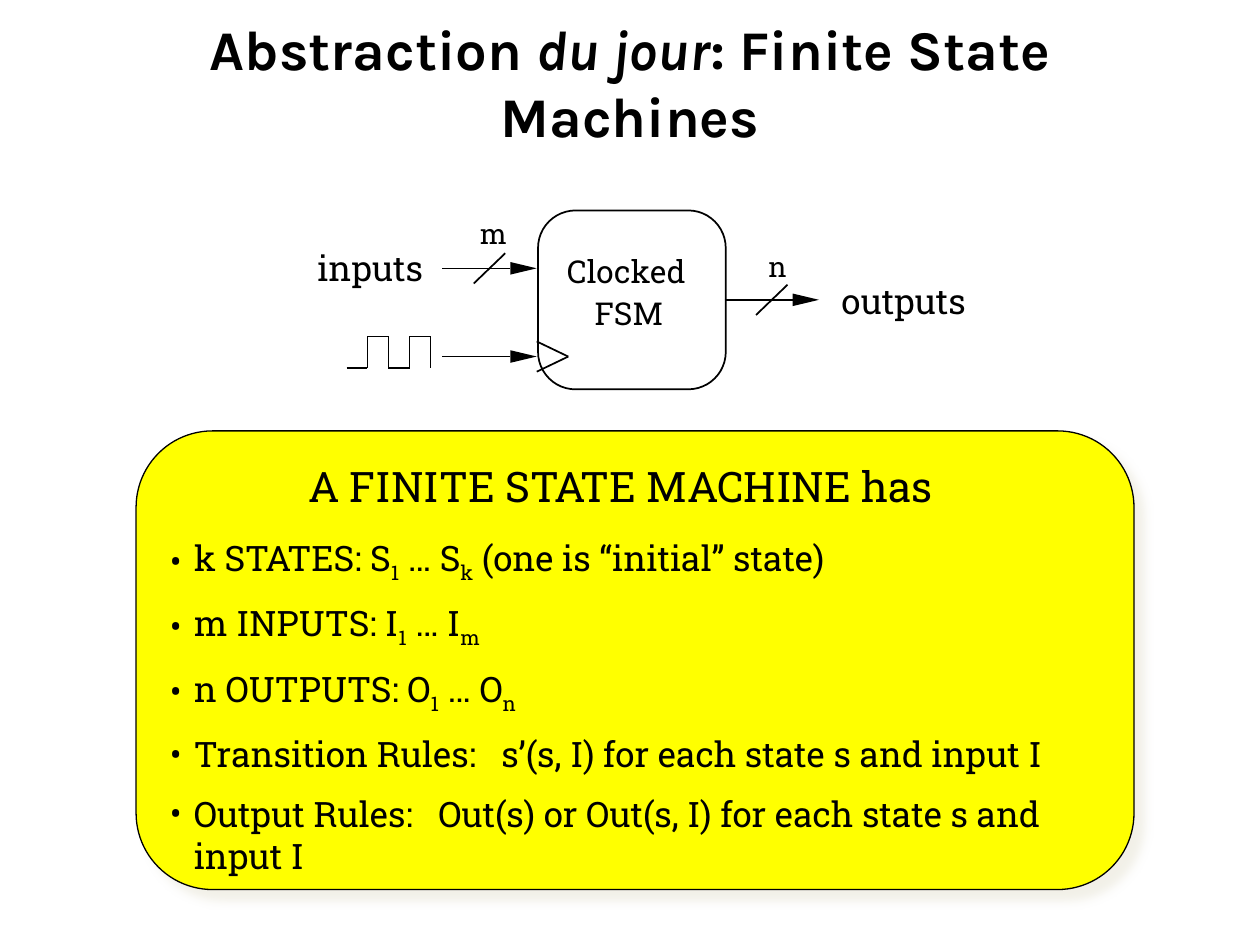
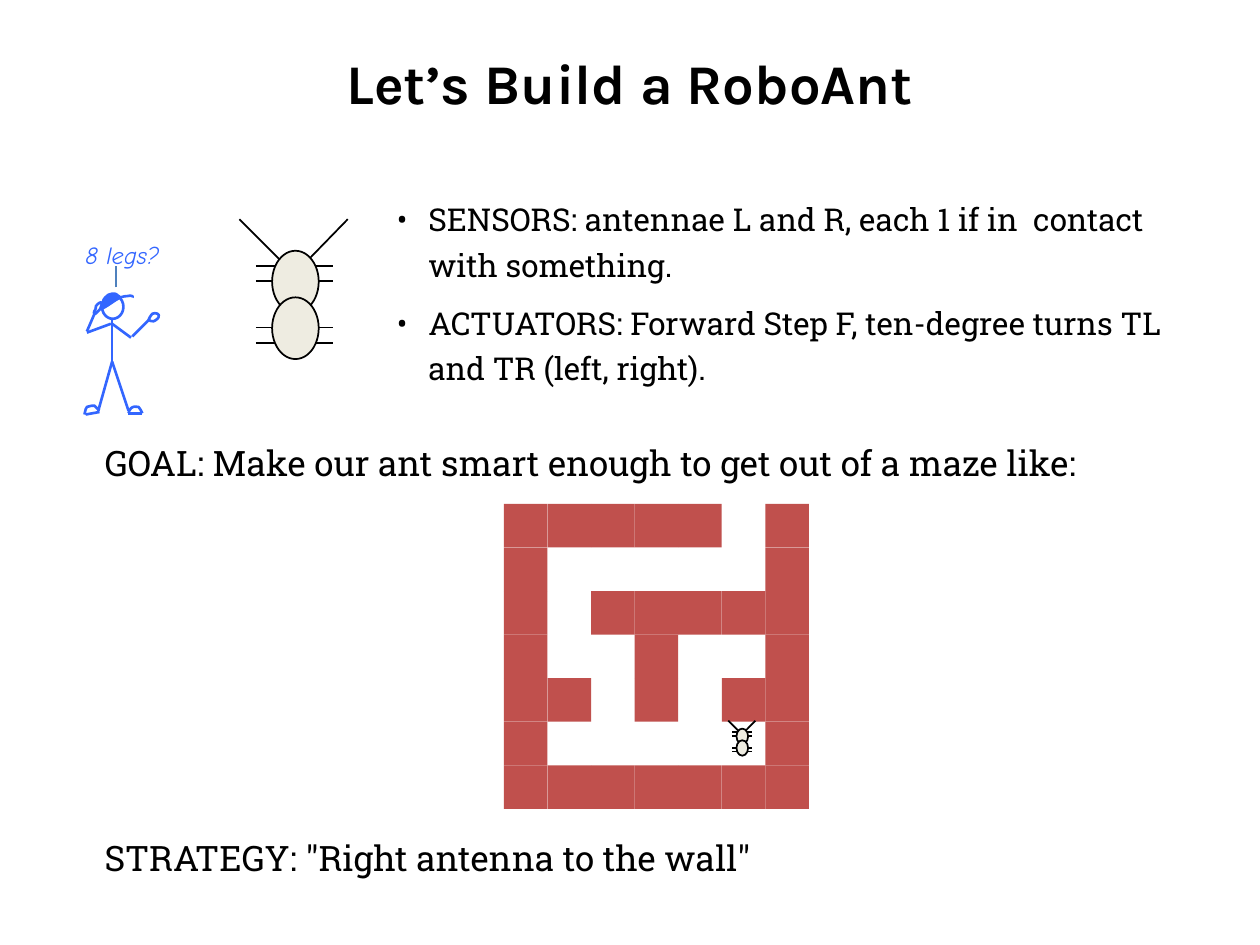
from dataclasses import dataclass
from itertools import pairwise
from typing import Any, Optional

from lxml.etree import SubElement
from pptx import Presentation
from pptx.dml.color import RGBColor
from pptx.enum.shapes import MSO_CONNECTOR, MSO_SHAPE
from pptx.enum.text import MSO_ANCHOR, MSO_AUTO_SIZE, PP_ALIGN
from pptx.oxml.ns import qn
from pptx.util import Inches, Pt

Point = tuple[float, float]

BLACK = "000000"
WHITE = "FFFFFF"
YELLOW = "FFFF00"
CREAM = "EEECE1"
BRICK = "C0504D"
BLUE = "3366FF"
STEEL = "4F81BD"

SLAB = "Roboto Slab"
STYLES: dict[str, dict[str, Any]] = {
    "title": {"name": "Karla", "size": Pt(32), "bold": True},
    "heading": {"name": SLAB, "size": Pt(24)},
    "body": {"name": SLAB, "size": Pt(20)},
    "detail": {"name": SLAB, "size": Pt(18)},
    "wire": {"name": SLAB, "size": Pt(16)},
    "speech": {"name": "Comic Neue", "size": Pt(14), "italic": True},
}
WIDE_INSET = (0.1, 0.05)
TIGHT_INSET = (0.07, 0.03)
NO_INSET = (0, 0)


@dataclass(frozen=True)
class Label:
    text: str
    left: float
    top: float
    width: float
    height: float
    style: str = "body"
    inset: Point = WIDE_INSET
    wrap: bool = False
    color: str = BLACK
    spacing: Optional[float] = None
    align: Optional[PP_ALIGN] = None


@dataclass(frozen=True)
class Bullets:
    indent: float
    space_before: float


@dataclass(frozen=True)
class Bus:
    start: float
    height: float
    slash: float


@dataclass(frozen=True)
class Curve:
    points: tuple[Point, ...]
    closed: bool = False
    fill: Optional[str] = None


FSM_LABELS = [
    Label("A FINITE STATE MACHINE has", 2.1, 3.67, 5.65, 0.98, "heading", TIGHT_INSET, True,
          spacing=0.91, align=PP_ALIGN.CENTER),
    Label("Clocked", 4.5, 2, 0.97, 0.3, "detail", NO_INSET),
    Label("FSM", 4.72, 2.33, 0.56, 0.3, "detail", NO_INSET),
    Label("m", 3.71, 1.67, 0.43, 0.37, "wire"),
    Label("inputs", 2.42, 1.91, 1.09, 0.44),
    Label("n", 6, 1.93, 0.35, 0.37, "wire"),
    Label("outputs", 6.58, 2.17, 1.27, 0.44),
]
FSM_RULES = Label(
    "k STATES: S_1_ … S_k_ (one is “initial” state)\n"
    "m INPUTS: I_1_ … I_m_\n"
    "n OUTPUTS: O_1_ … O_n_\n"
    "Transition Rules:\ts’(s, I) for each state s and input I\n"
    "Output Rules:\tOut(s) or Out(s, I) for each state s and input I",
    1.25, 4.21, 7.58, 2.79, wrap=True)
BUSES = [Bus(3.51, 2.13, 3.76), Bus(5.75, 2.38, 6)]

ANT_PARTS = Label(
    "SENSORS: antennae L and R, each 1 if in\tcontact with something.\n"
    "ACTUATORS: Forward Step F, ten-degree turns TL and TR (left, right).",
    3.08, 1.5, 6.5, 1.62, "detail", TIGHT_INSET, True, spacing=1.2)
TABS = {"Transition Rules": 2.63, "Output Rules": 2.13, "SENSORS": 5.05}
ANT_LABELS = [
    Label("8 legs?", 0.58, 1.86, 0.91, 0.34, "speech", color=BLUE),
    Label("GOAL: Make our ant smart enough to get out of a maze like:",
          0.76, 3.51, 8.74, 0.36, "body", TIGHT_INSET, True, spacing=0.9),
    Label('STRATEGY: "Right antenna to the wall"',
          0.76, 6.63, 6.07, 0.38, "body", TIGHT_INSET, True, spacing=0.97),
]
MAZE = [
    "#####.#",
    "#.....#",
    "#.#####",
    "#..#..#",
    "##.#.##",
    "#.....#",
    "#######",
]
LIMBS = [
    ((0.89, 2.53), (0.89, 2.87), (1.02, 3.26)),
    ((0.89, 2.87), (0.78, 3.26)),
    ((1.02, 3.28), (1.13, 3.28)),
    ((0.79, 3.27), (0.68, 3.29)),
    ((0.89, 2.57), (1.04, 2.68)),
    ((1.05, 2.67), (1.18, 2.54)),
    ((0.88, 2.57), (0.69, 2.64)),
    ((0.69, 2.63), (0.75, 2.49)),
]
RIGHT_FOOT = Curve(((1.13, 3.28), (1.12, 3.26), (1.11, 3.24), (1.1, 3.23),
                    (1.08, 3.22), (1.05, 3.23), (1.04, 3.24),
                    (1.03, 3.25), (1.02, 3.27), (1.02, 3.28)))
LEFT_FOOT = Curve(((0.67, 3.29), (0.68, 3.25), (0.68, 3.24), (0.69, 3.23),
                   (0.71, 3.22), (0.74, 3.22), (0.75, 3.22),
                   (0.77, 3.23), (0.78, 3.26), (0.79, 3.26)))
RIGHT_HAND = Curve(((1.18, 2.54), (1.18, 2.53), (1.2, 2.5), (1.21, 2.49),
                    (1.22, 2.48), (1.24, 2.49), (1.25, 2.49),
                    (1.26, 2.49), (1.26, 2.49), (1.26, 2.5),
                    (1.26, 2.51), (1.26, 2.53), (1.25, 2.53),
                    (1.25, 2.54), (1.23, 2.54), (1.22, 2.55),
                    (1.21, 2.55), (1.19, 2.55), (1.18, 2.54)), True)
LEFT_HAND = Curve(((0.75, 2.49), (0.75, 2.5), (0.77, 2.48), (0.78, 2.47),
                   (0.79, 2.46), (0.8, 2.45), (0.8, 2.44),
                   (0.81, 2.43), (0.81, 2.42), (0.81, 2.41),
                   (0.81, 2.41), (0.81, 2.4), (0.8, 2.4),
                   (0.79, 2.4), (0.78, 2.41), (0.77, 2.42),
                   (0.76, 2.42), (0.76, 2.44), (0.76, 2.45),
                   (0.75, 2.46), (0.74, 2.49), (0.75, 2.49)), True)
CAP_BRIM = Curve(((0.81, 2.45), (0.85, 2.43), (0.89, 2.4), (0.92, 2.38),
                  (0.95, 2.36), (0.98, 2.35), (1.01, 2.35),
                  (1.03, 2.34), (1.04, 2.35), (1.05, 2.35),
                  (1.06, 2.35), (1.05, 2.36), (1.05, 2.36)))
CAP = Curve(((0.81, 2.44), (0.8, 2.44), (0.81, 2.4), (0.82, 2.39),
             (0.82, 2.37), (0.85, 2.35), (0.86, 2.34),
             (0.88, 2.33), (0.9, 2.33), (0.91, 2.33),
             (0.92, 2.33), (0.93, 2.34), (0.94, 2.35),
             (0.94, 2.35), (0.96, 2.35), (0.95, 2.36),
             (0.94, 2.37), (0.9, 2.39), (0.88, 2.4),
             (0.86, 2.42), (0.82, 2.44), (0.81, 2.44)), True, BLUE)


def paint(shape, fill: Optional[str], line: Optional[str] = None, weight: float = 1) -> None:
    shape.shadow.inherit = False
    if fill:
        shape.fill.solid()
        shape.fill.fore_color.rgb = RGBColor.from_string(fill)
    else:
        shape.fill.background()
    if line:
        shape.line.color.rgb = RGBColor.from_string(line)
        shape.line.width = Pt(weight)
    else:
        shape.line.fill.background()


def add_block(page, kind, left: float, top: float, width: float, height: float,
              fill: Optional[str], line: Optional[str] = None, weight: float = 1):
    shape = page.shapes.add_shape(kind, Inches(left), Inches(top), Inches(width), Inches(height))
    paint(shape, fill, line, weight)
    return shape


def add_lines(page, points, color: str = BLACK, weight: float = 1) -> None:
    for start, end in pairwise(points):
        line = page.shapes.add_connector(MSO_CONNECTOR.STRAIGHT, *map(Inches, start + end))
        line.line.color.rgb = RGBColor.from_string(color)
        line.line.width = Pt(weight)
        SubElement(line._element.spPr, qn("a:effectLst"))


def add_outline(page, points, closed: bool, fill: Optional[str],
                line: Optional[str] = None, weight: float = 1):
    places = [(Inches(x), Inches(y)) for x, y in points]
    builder = page.shapes.build_freeform(*places[0])
    builder.add_line_segments(places[1:], close=closed)
    shape = builder.convert_to_shape()
    paint(shape, fill, line, weight)
    return shape


def add_curve(page, curve: Curve) -> None:
    shape = add_outline(page, curve.points, curve.closed, curve.fill, BLUE, 1.5)
    segments = list(shape._element.iter(qn("a:lnTo")))
    for first in range(0, len(segments), 3):
        bend, *others = segments[first:first + 3]
        bend.tag = qn("a:cubicBezTo")
        for other in others:
            bend.append(other[0])
            other.getparent().remove(other)


def write(para, text: str, style: str, color: str = BLACK) -> None:
    for index, part in enumerate(text.split("_")):
        if not part:
            continue
        span = para.add_run()
        span.text = part
        for name, value in STYLES[style].items():
            setattr(span.font, name, value)
        span.font.color.rgb = RGBColor.from_string(color)
        if index % 2 and style == "title":
            span.font.italic = True
        elif index % 2:
            span.font._element.set("baseline", "-25000")


def add_bullet(para, indent: float, tab: Optional[float]) -> None:
    properties = para._p.get_or_add_pPr()
    properties.set("marL", str(Inches(indent)))
    properties.set("indent", str(-Inches(indent)))
    SubElement(properties, qn("a:buFont"), typeface=SLAB)
    SubElement(properties, qn("a:buChar"), char="•")
    if tab:
        tabs = SubElement(properties, qn("a:tabLst"))
        SubElement(tabs, qn("a:tab"), pos=str(Inches(tab)), algn="l")


def add_label(page, label: Label, bullets: Optional[Bullets] = None) -> None:
    box = page.shapes.add_textbox(Inches(label.left), Inches(label.top),
                                  Inches(label.width), Inches(label.height))
    frame = box.text_frame
    side, end = map(Inches, label.inset)
    settings = {"word_wrap": label.wrap, "margin_left": side, "margin_right": side,
                "margin_top": end, "margin_bottom": end}
    for name, value in settings.items():
        setattr(frame, name, value)
    for index, text in enumerate(label.text.split("\n")):
        para = frame.add_paragraph() if index else frame.paragraphs[0]
        if bullets:
            add_bullet(para, bullets.indent, TABS.get(text.split(":")[0]))
            if index:
                para.space_before = Pt(bullets.space_before)
        para.alignment = label.align
        para.line_spacing = label.spacing
        write(para, text, label.style, label.color)


def add_page(deck, title: str):
    page = deck.slides.add_slide(deck.slide_layouts[5])
    box = page.shapes.title
    box.left, box.top, box.width, box.height = map(Inches, (0.5, 0.3, 9, 0.7))
    frame = box.text_frame
    frame.auto_size = MSO_AUTO_SIZE.NONE
    frame.vertical_anchor = MSO_ANCHOR.MIDDLE
    frame.paragraphs[0].alignment = PP_ALIGN.CENTER
    write(frame.paragraphs[0], title, "title")
    return page


def add_arrow(page, start: float, height: float) -> None:
    neck, tip = start + 0.54, start + 0.75
    add_outline(page, [(tip, height), (neck, height + 0.05), (neck, height - 0.05)], True, BLACK)
    add_lines(page, [(start, height), (neck, height)])


def add_clock_wave(page, left: float, low: float, high: float) -> None:
    points = [(left, low)]
    for edge in range(1, 5):
        x = left + edge / 6
        before, after = (low, high) if edge % 2 else (high, low)
        points += [(x, before), (x, after)]
    add_lines(page, points, weight=0.75)


def add_ant(page, left: float, top: float, scale: float) -> None:
    def place(x: float, y: float) -> Point:
        return left + x * scale, top + y * scale

    for outer, inner in ((0.86, 0.5), (0, 0.37)):
        add_lines(page, [place(outer, 0), place(inner, 0.37)])
    for leg in (0.37, 0.49, 0.86, 0.98):
        add_lines(page, [place(0.13, leg), place(0.74, leg)])
    for body in (0.25, 0.62):
        add_block(page, MSO_SHAPE.OVAL, *place(0.26, body), 0.37 * scale, 0.49 * scale,
                  CREAM, BLACK)


def add_maze(page, left: float, top: float, side: float) -> None:
    cell = side / len(MAZE)
    for row, bricks in enumerate(MAZE):
        for column, brick in enumerate(bricks):
            if brick == "#":
                add_block(page, MSO_SHAPE.RECTANGLE, left + column * cell, top + row * cell,
                          cell, cell, BRICK)


def add_thinker(page) -> None:
    for limb in LIMBS:
        add_lines(page, limb, BLUE, 1.5)
    add_block(page, MSO_SHAPE.OVAL, 0.81, 2.34, 0.17, 0.19, None, BLUE, 1.5)
    for curve in (RIGHT_FOOT, LEFT_FOOT, RIGHT_HAND, LEFT_HAND, CAP_BRIM, CAP):
        add_curve(page, curve)


def add_soft_shadow(shape) -> None:
    effects = shape._element.spPr.find(qn("a:effectLst"))
    shadow = SubElement(effects, qn("a:outerShdw"), blurRad=str(Pt(5)), dist=str(Pt(8.5)),
                        dir="2700000", algn="ctr", rotWithShape="0")
    color = SubElement(shadow, qn("a:srgbClr"), val=CREAM)
    SubElement(color, qn("a:alpha"), val="75000")


def build_fsm_page(deck) -> None:
    page = add_page(deck, "Abstraction _du jour_: Finite State Machines")
    panel = add_block(page, MSO_SHAPE.FLOWCHART_ALTERNATE_PROCESS, 1.08, 3.42, 7.92, 3.64,
                      YELLOW, BLACK, 0.75)
    add_soft_shadow(panel)
    machine = add_block(page, MSO_SHAPE.ROUNDED_RECTANGLE, 4.27, 1.67, 1.49, 1.42, WHITE, BLACK)
    machine.adjustments[0] = 0.21
    add_lines(page, [(4.26, 2.71), (4.51, 2.83), (4.26, 2.95)])
    add_arrow(page, 3.51, 2.83)
    add_clock_wave(page, 2.75, 2.92, 2.67)
    for bus in BUSES:
        add_arrow(page, bus.start, bus.height)
        add_lines(page, [(bus.slash + 0.25, bus.height - 0.12), (bus.slash, bus.height + 0.12)])
    for label in FSM_LABELS:
        add_label(page, label)
    add_label(page, FSM_RULES, Bullets(0.19, 10))


def build_ant_page(deck) -> None:
    page = add_page(deck, "Let’s Build a RoboAnt")
    add_ant(page, 1.9, 1.74, 1)
    add_label(page, ANT_PARTS, Bullets(0.25, 7.4))
    for label in ANT_LABELS:
        add_label(page, label)
    add_lines(page, [(0.92, 2.28), (0.92, 2.11)], STEEL, 0.75)
    add_maze(page, 4, 4, 2.42)
    add_ant(page, 5.78, 5.72, 0.25)
    add_thinker(page)


def main() -> None:
    deck = Presentation()
    deck.slide_width, deck.slide_height = Inches(10), Inches(7.5)
    build_fsm_page(deck)
    build_ant_page(deck)
    deck.save("out.pptx")


if __name__ == "__main__":
    main()
